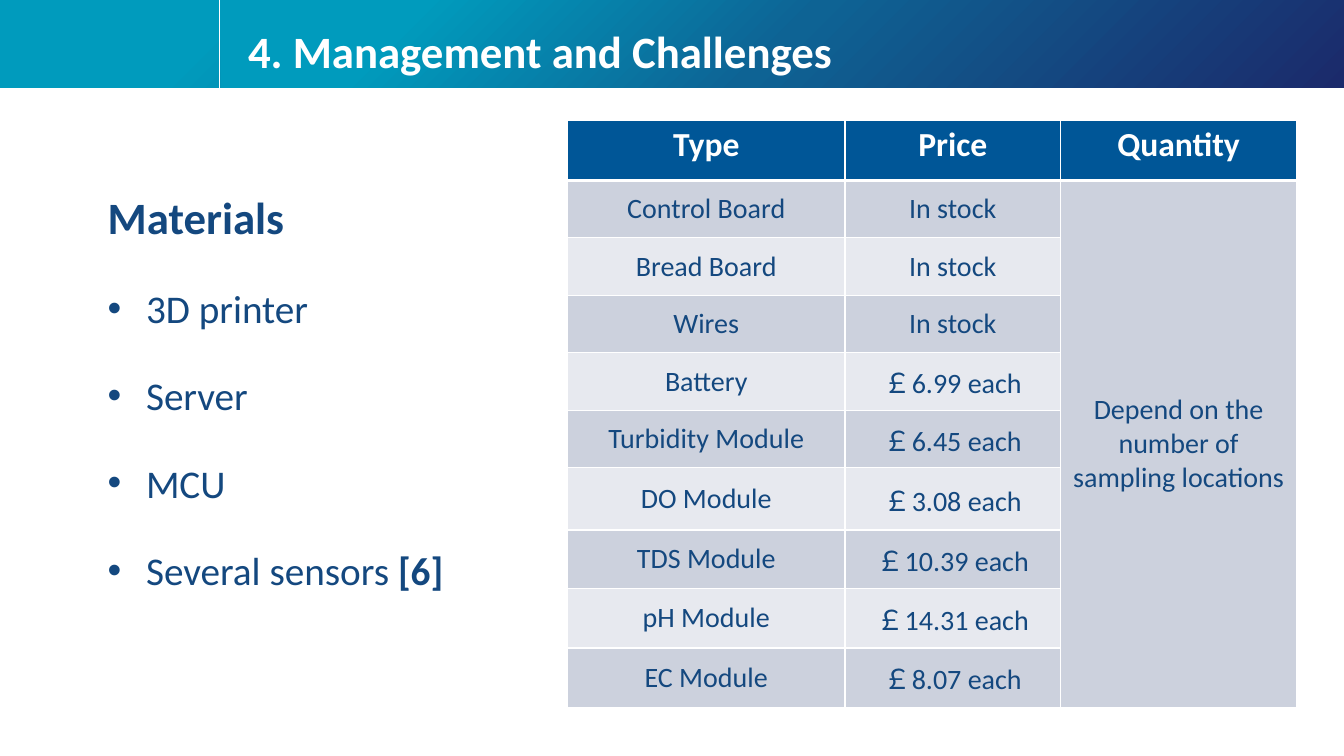
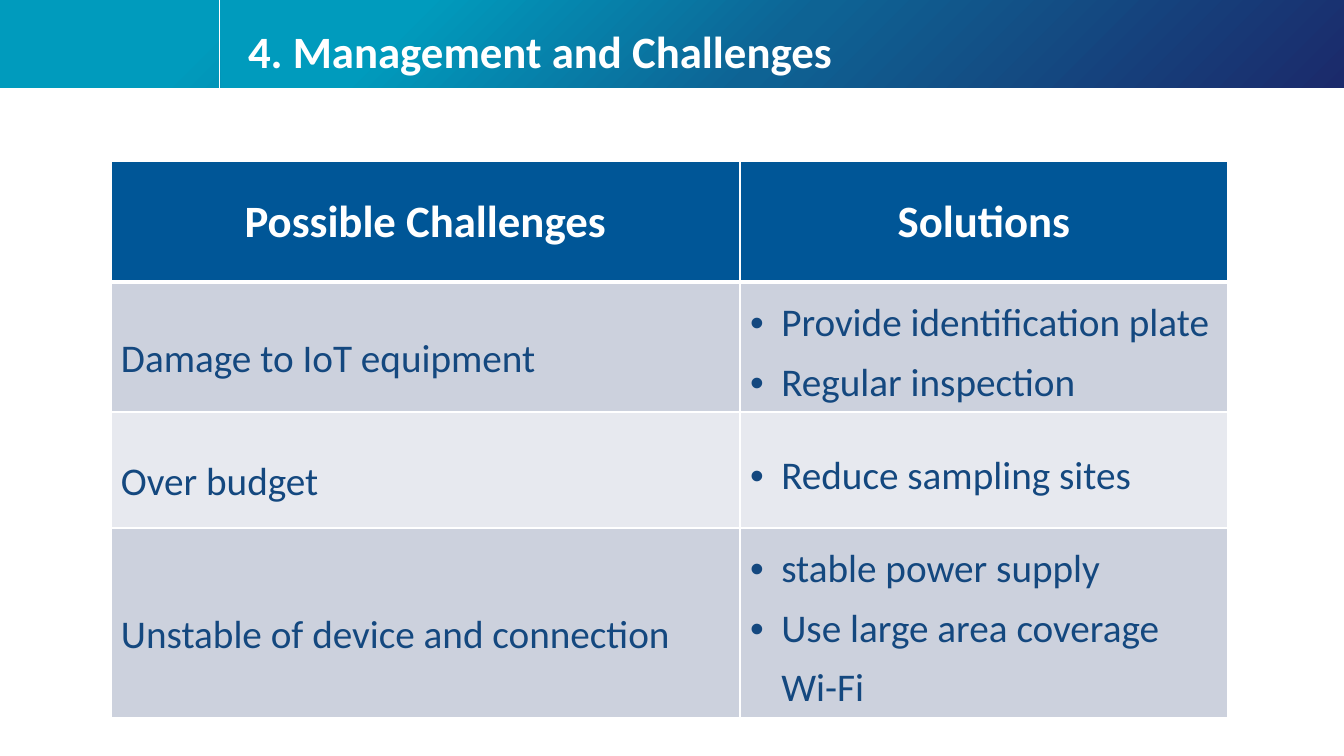
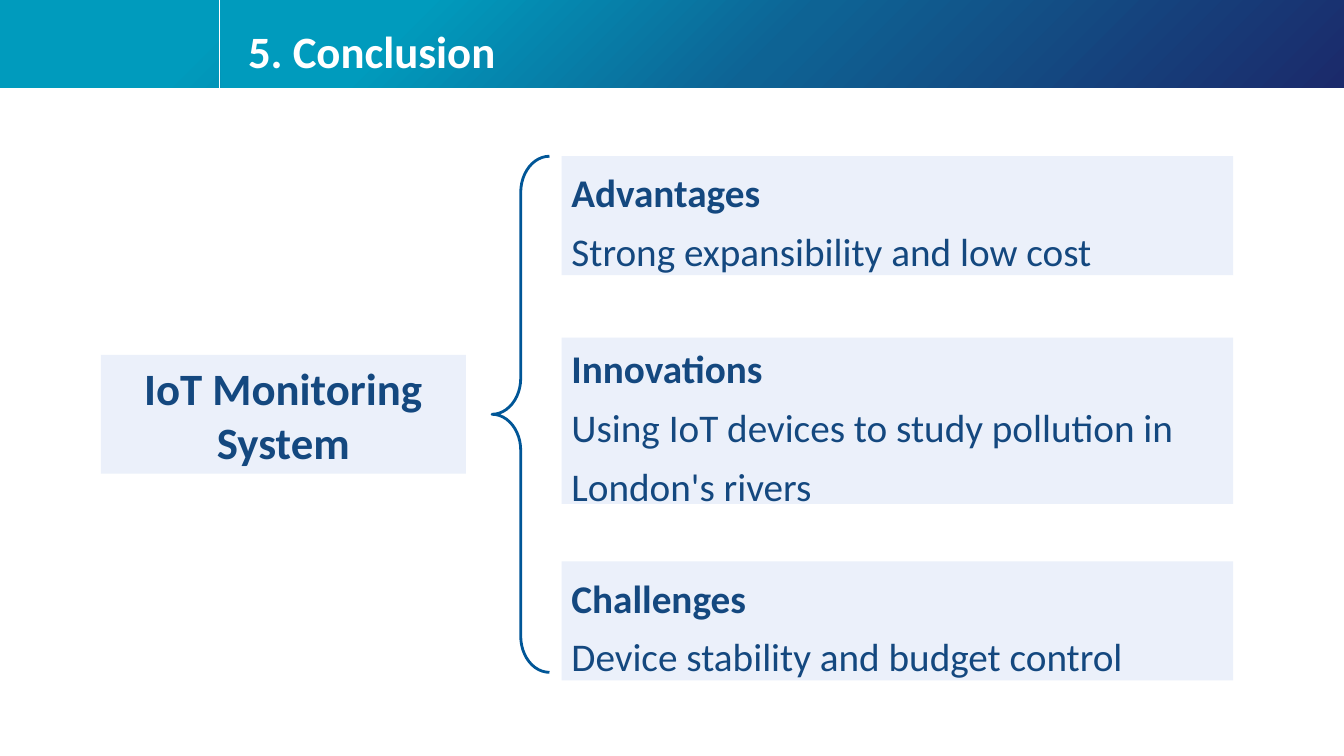
from pptx import Presentation
from pptx import util as u
from pptx.dml.color import RGBColor
from pptx.enum import shapes, text
from pptx.oxml import parse_xml
from pptx.oxml.ns import nsdecls, qn

PX = 9144  # EMU in one px, 100 px to the inch
FONT = "Calibri"
COLORS = {
    "cyan": "009BBD",
    "blue": "0E6394",
    "navy": "1B2A6B",
    "header": "005697",
    "ink": "14487F",
    "white": "FFFFFF",
    "odd_row": "CCD1DD",
    "even_row": "E7E9EF",
    "panel": "EBF0FA",
}
LEFT, CENTER, JUSTIFY = text.PP_ALIGN.LEFT, text.PP_ALIGN.CENTER, text.PP_ALIGN.JUSTIFY
MIDDLE, TOP = text.MSO_ANCHOR.MIDDLE, text.MSO_ANCHOR.TOP


def px(*lengths):
    return [u.Emu(n * PX) for n in lengths]


def rgb(name):
    return RGBColor.from_string(COLORS[name])


def format_paragraph(p, size, color="ink", bold=False, align=LEFT, spacing=None, after=None, bullet=0):
    """Style a paragraph and its runs; bullet is the hanging indent in px."""
    p.alignment = align
    p.line_spacing = spacing
    if after is not None:
        p.space_after = u.Pt(after)
    if bullet:
        pPr = p._p.get_or_add_pPr()
        pPr.set("marL", str(bullet * PX))
        pPr.set("indent", str(-bullet * PX))
        pPr.append(parse_xml(f'<a:buFont {nsdecls("a")} typeface="Arial"/>'))
        pPr.append(parse_xml(f'<a:buChar {nsdecls("a")} char="•"/>'))
    for r in p.runs:
        r.font.name = FONT
        r.font.size = u.Pt(size)
        r.font.bold = bold
        r.font.color.rgb = rgb(color)


def add_band(s, left, width):
    band = s.shapes.add_shape(shapes.MSO_SHAPE.RECTANGLE, *px(left, 0, width, 87))
    band.shadow.inherit = False
    band.line.fill.background()
    stops = "".join(
        f'<a:gs pos="{pos}000"><a:srgbClr val="{COLORS[name]}"/></a:gs>'
        for pos, name in ((17, "cyan"), (50, "blue"), (100, "navy"))
    )
    gradient = parse_xml(
        f'<a:gradFill {nsdecls("a")} rotWithShape="1"><a:gsLst>{stops}</a:gsLst>'
        '<a:lin ang="2700000" scaled="0"/></a:gradFill>'
    )
    band.element.spPr.find(qn("a:prstGeom")).addnext(gradient)
    return band


def add_divider(s):
    line = s.shapes.add_connector(shapes.MSO_CONNECTOR.STRAIGHT, *px(218, 0, 218, 87))
    line.line.color.rgb = rgb("white")
    line.line.width = u.Pt(0.5)
    line.element.spPr.append(parse_xml(f'<a:effectLst {nsdecls("a")}/>'))
    return line


def decorate_layout(layout, s):
    """Draw the header band on a slide, then move it to the layout that all slides share."""
    band_parts = [add_band(s, 0, 1333), add_band(s, 219, 1114), add_divider(s)]
    for place, part in enumerate(band_parts, start=2):
        layout.shapes.element.insert(place, part.element)


def add_title(s, title):
    sp = s.shapes.title
    sp.left, sp.top, sp.width, sp.height = px(236, 16, 735, 76)
    sp.text_frame.text = title
    sp.text_frame.vertical_anchor = MIDDLE
    format_paragraph(sp.text_frame.paragraphs[0], 32, "white", True, spacing=0.9)


def set_borders(cell, top, bottom):
    tcPr = cell._tc.get_or_add_tcPr()
    for side, width in (("L", 1), ("R", 1), ("T", top), ("B", bottom)):
        tcPr.append(parse_xml(
            f'<a:ln{side} {nsdecls("a")} w="{u.Pt(width)}"><a:solidFill>'
            f'<a:srgbClr val="{COLORS["white"]}"/></a:solidFill></a:ln{side}>'
        ))


def add_grid(s, left, top, widths, heights, rows, header, columns, header_anchor=MIDDLE):
    """Add a banded table; header and each of columns are paragraph styles."""
    frame = s.shapes.add_table(
        len(rows), len(widths), *px(left, top, sum(widths), sum(heights)))
    table = frame.table
    for column, width in zip(table.columns, px(*widths)):
        column.width = width
    for row, height in zip(table.rows, px(*heights)):
        row.height = height
    for i, row in enumerate(rows):
        fill = "header" if i == 0 else "odd_row" if i % 2 else "even_row"
        for j, content in enumerate(row):
            cell = table.cell(i, j)
            set_borders(cell, top=3 if i == 1 else 1, bottom=3 if i == 0 else 1)
            cell.fill.solid()
            cell.fill.fore_color.rgb = rgb(fill)
            cell.vertical_anchor = MIDDLE if i else header_anchor
            cell.text_frame.text = content
            for p in cell.text_frame.paragraphs:
                format_paragraph(p, **(columns[j] if i else header))
    return table


def add_panel(s, left, top, width, height, lines, **style):
    """Add a pale box whose first line is bold."""
    sp = s.shapes.add_shape(shapes.MSO_SHAPE.RECTANGLE, *px(left, top, width, height))
    sp.shadow.inherit = False
    sp.fill.solid()
    sp.fill.fore_color.rgb = rgb("panel")
    sp.line.fill.background()
    tf = sp.text_frame
    tf.word_wrap = True
    tf.vertical_anchor = MIDDLE
    tf.text = "\n".join(lines)
    for i, p in enumerate(tf.paragraphs):
        format_paragraph(p, bold=i == 0, **style)


def add_brace(s, left, top, width, height):
    sp = s.shapes.add_shape(shapes.MSO_SHAPE.LEFT_BRACE, *px(left, top, width, height))
    sp.shadow.inherit = False
    sp.adjustments[0] = 0.63
    sp.fill.background()
    sp.line.color.rgb = rgb("header")
    sp.line.width = u.Pt(2)


def add_materials_list(s):
    tf = s.shapes.add_textbox(*px(97, 157, 388, 434)).text_frame
    tf.word_wrap = True
    tf.auto_size = text.MSO_AUTO_SIZE.SHAPE_TO_FIT_TEXT
    tf.text = "Materials\n3D printer\nServer\nMCU\nSeveral sensors "
    heading, *items = tf.paragraphs
    reference = items[-1].add_run()
    reference.text = "[6]"
    shared = dict(align=JUSTIFY, spacing=1.5, after=12)
    format_paragraph(heading, 32, bold=True, **shared)
    for p in items:
        format_paragraph(p, 28, bullet=38, **shared)
    reference.font.bold = True


def fill_materials(s):
    add_title(s, "4. Management and Challenges")
    prices = [
        ("Control Board", "In stock"),
        ("Bread Board", "In stock"),
        ("Wires", "In stock"),
        ("Battery", "￡6.99 each"),
        ("Turbidity Module", "￡6.45 each"),
        ("DO Module", "￡3.08 each"),
        ("TDS Module", "￡10.39 each"),
        ("pH Module", "￡14.31 each"),
        ("EC Module", "￡8.07 each"),
    ]
    rows = [("Type", "Price", "Quantity")] + [(*item, "") for item in prices]
    rows[1] = (*prices[0], "Depend on the number of sampling locations")
    table = add_grid(
        s, 563, 119, [275, 214, 234], [60] + [57] * 5 + [62, 58, 59, 59], rows,
        header=dict(size=24, color="white", bold=True, align=CENTER),
        columns=[dict(size=20, align=CENTER)] * 3, header_anchor=TOP)
    table.cell(1, 2).merge(table.cell(len(prices), 2))
    add_materials_list(s)


def fill_challenges(s):
    add_title(s, "4. Management and Challenges")
    rows = [
        ("Possible Challenges", "Solutions"),
        ("Damage to IoT equipment", "Provide identification plate\nRegular inspection"),
        ("Over budget", "Reduce sampling sites"),
        ("Unstable of device and connection",
         "stable power supply\nUse large area coverage Wi-Fi"),
    ]
    table = add_grid(
        s, 110, 160, [624, 484], [120, 127, 115, 186], rows,
        header=dict(size=32, color="white", bold=True, align=CENTER),
        columns=[dict(size=28, spacing=1.5), dict(size=28, spacing=1.25, bullet=31)])
    table.cell(2, 1).text_frame.paragraphs[0].space_after = u.Pt(18)


def fill_conclusion(s):
    add_title(s, "5. Conclusion")
    add_panel(s, 100, 352, 362, 118, ["IoT Monitoring System"], size=32, align=CENTER)
    add_brace(s, 488, 155, 57, 512)
    findings = [
        (155, 118, "Advantages", "Strong expansibility and low cost"),
        (335, 165, "Innovations", "Using IoT devices to study pollution in London's rivers"),
        (557, 118, "Challenges", "Device stability and budget control"),
    ]
    for top, height, *lines in findings:
        add_panel(s, 557, top, 666, height, lines, size=28, spacing=1.25)


def main():
    prs = Presentation()
    prs.slide_width, prs.slide_height = px(1333, 750)
    layout = prs.slide_layouts.get_by_name("Title Only")
    for fill_slide in (fill_materials, fill_challenges, fill_conclusion):
        fill_slide(prs.slides.add_slide(layout))
    decorate_layout(layout, prs.slides[0])
    prs.save("out.pptx")


if __name__ == "__main__":
    main()
